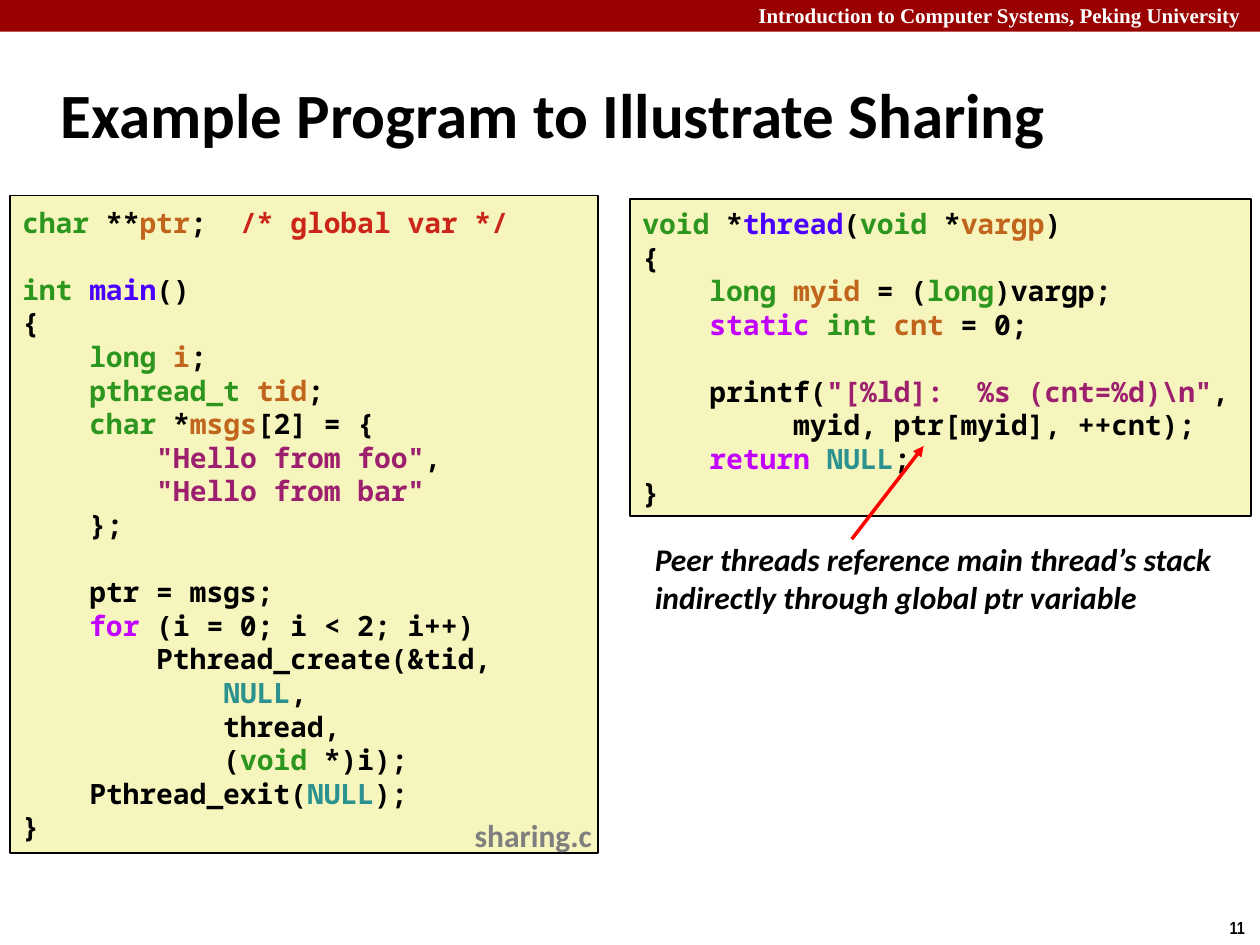
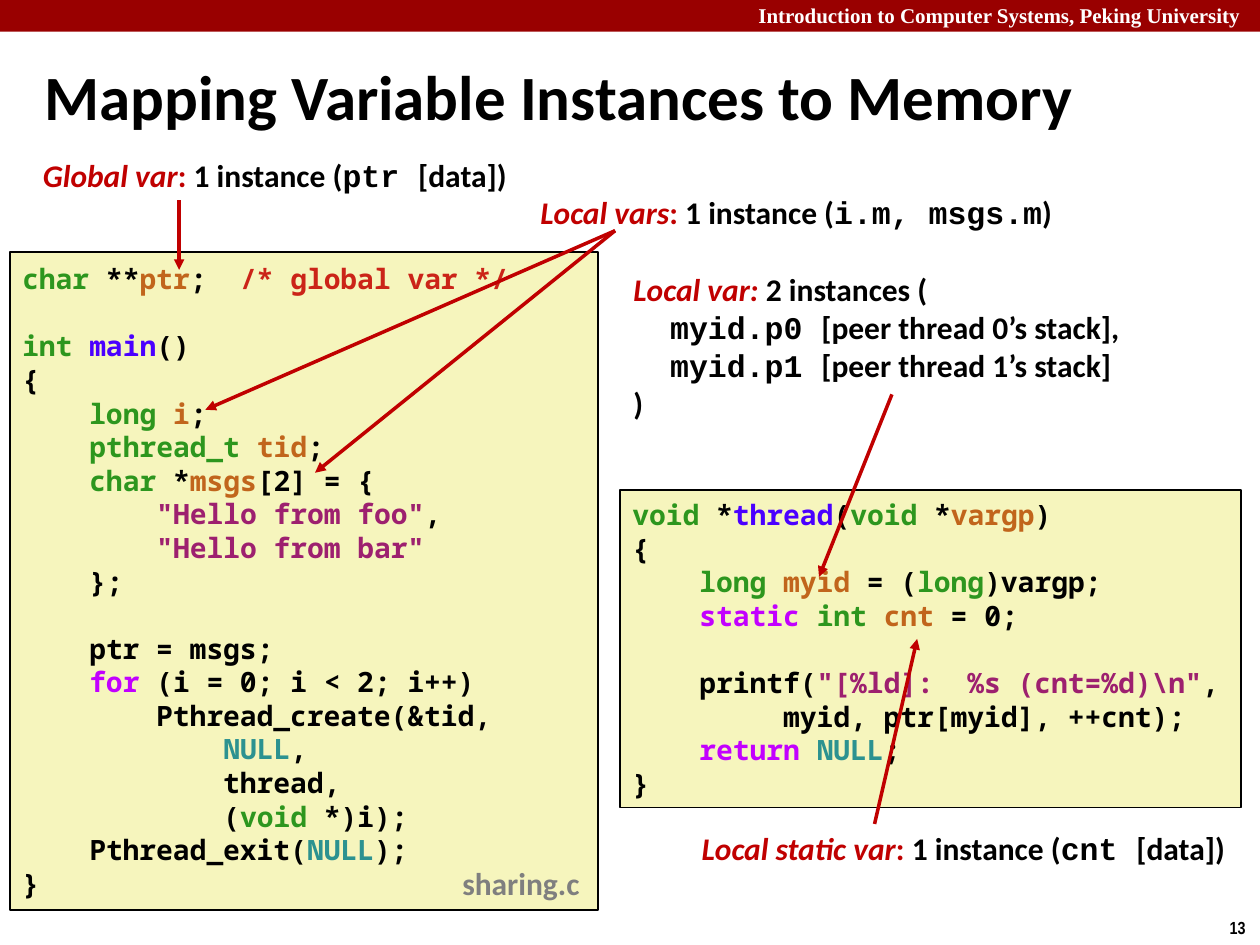
from dataclasses import dataclass

from lxml import etree
from pptx import Presentation
from pptx.dml.color import RGBColor
from pptx.enum.shapes import MSO_CONNECTOR, MSO_SHAPE
from pptx.enum.text import MSO_ANCHOR, MSO_AUTO_SIZE, PP_ALIGN
from pptx.oxml.ns import qn
from pptx.util import Cm, Pt

RECTANGLE = MSO_SHAPE.RECTANGLE
STRAIGHT = MSO_CONNECTOR.STRAIGHT
LEFT, CENTER = PP_ALIGN.LEFT, PP_ALIGN.CENTER
TOP, MIDDLE = MSO_ANCHOR.TOP, MSO_ANCHOR.MIDDLE
GROW = MSO_AUTO_SIZE.SHAPE_TO_FIT_TEXT


@dataclass(frozen=True)
class Style:
    font: str
    size: float
    color: str = "000000"
    italic: bool = False


class Theme:
    band = "990000"
    code_fill = "F6F5BD"
    outline = "000000"
    pointer = "FF0000"
    label = "C00000"
    header = Style("Times New Roman", 12, "FFFFFF")
    number = Style("Arial Narrow", 10)
    title = Style("Calibri", 36)
    code = Style("Noto Sans Mono", 16)
    callout = Style("Calibri", 18)
    note = Style("Calibri", 18, italic=True)
    file_name = Style("Calibri", 18, "7F7F7F")
    # What each kind of marked text changes: §kind:text§
    marks = {
        "type": {"color": "2D961E"},
        "var": {"color": "C1651C"},
        "func": {"color": "4A00FF"},
        "key": {"color": "C200FF"},
        "str": {"color": "9D206F"},
        "const": {"color": "2C9290"},
        "comment": {"color": "CB2418"},
        "term": {"color": label, "italic": True},
        "colon": {"color": label},
        "mono": {"font": "Courier New"},
    }


# Content; all places are in centimetres
HEADER = "Introduction to Computer Systems, Peking University"
FILE_NAME = "sharing.c"

MAIN_CODE = r"""§type:char§ **§var:ptr§;  §comment:/* global var */§

§type:int §§func:main§()
{
    §type:long §§var:i§;
    §type:pthread_t §§var:tid§;
    §type:char§ *§var:msgs§[2] = {
        §str:"Hello from foo"§,
        §str:"Hello from bar"§
    };

    ptr = msgs;
    §key:for§ (i = 0; i < 2; i++)
        Pthread_create(&tid,
            §const:NULL§,
            thread,
            (§type:void§ *)i);
    Pthread_exit(§const:NULL§);
}""".splitlines()

THREAD_CODE = r"""§type:void§ *§func:thread§(§type:void§ *§var:vargp§)
{
    §type:long §§var:myid§ = (§type:long§)vargp;
    §key:static §§type:int §§var:cnt§ = 0;

    printf(§str:"[%ld]:  %s (cnt=%d)\n"§,
         myid, ptr[myid], ++cnt);
    §key:return §§const:NULL§;
}""".splitlines()

PEER_NOTE = ["Peer threads reference main thread’s stack",
             "indirectly through global ptr variable"]
GLOBAL_VAR = ["§term:Global var§§colon:: §1 instance (§mono:ptr §[data])"]
STATIC_VAR = ["§term:Local static var§§colon:: §1 instance (§mono:cnt §[data])"]
LOCAL_VARS = ["§term:Local vars§§colon:: §1 instance (§mono:i.m, msgs.m§)"]
MYID_VAR = ["§term:Local var: §2 instances (",
            "§mono:myid.p0 §[peer thread 0’s stack],",
            "§mono:myid.p1 §[peer thread 1’s stack]",
            ")"]
MYID_INDENTS = [0, 0.74, 0.74, 0]

LOCAL_VARS_TIP = (12.4, 4.65)

SLIDES = [
    {
        "number": "11",
        "title": "Example Program to Illustrate Sharing",
        "title_at": (0.97, 1.22, 23.62, 2.11),
        "main_at": (0.2, 3.94),
        "thread_at": (12.7, 4.01),
        "file_at": (9.32, 16.33),
        "callouts": [
            (PEER_NOTE, Theme.note, LEFT, (12.95, 10.87, 12.01, 1.55), None),
        ],
        "arrow_color": Theme.pointer,
        "arrows": [((17.17, 10.87), (18.62, 8.99))],
    },
    {
        "number": "13",
        "title": "Mapping Variable Instances to Memory",
        "title_at": (0.64, 0.84, 24.7, 2.16),
        "main_at": (0.2, 5.08),
        "thread_at": (12.5, 9.88),
        "file_at": (9.07, 17.3),
        "callouts": [
            (GLOBAL_VAR, Theme.callout, CENTER, (0.56, 3.15, 9.96, 0.76), None),
            (STATIC_VAR, Theme.callout, CENTER, (13.82, 16.71, 11.2, 0.76), None),
            (LOCAL_VARS, Theme.callout, CENTER, (10.59, 3.89, 10.92, 0.76), None),
            (MYID_VAR, Theme.callout, LEFT, (12.52, 5.44, 10.74, 3.07), MYID_INDENTS),
        ],
        "arrow_color": Theme.label,
        "arrows": [
            ((3.61, 4.04), (3.61, 5.44)),
            ((17.63, 16.61), (18.49, 12.88)),
            (LOCAL_VARS_TIP, (4.14, 8.26)),
            (LOCAL_VARS_TIP, (6.35, 9.53)),
            ((17.98, 7.95), (16.51, 11.63)),
        ],
    },
]


def rgb(color):
    return RGBColor.from_string(color)


def cm(lengths):
    return [Cm(length) for length in lengths]


def marked_parts(line):
    """Yield (text, changes) for the plain and the marked parts of a line."""
    for index, part in enumerate(line.split("§")):
        if index % 2:
            kind, _, text = part.partition(":")
            yield text, Theme.marks[kind]
        elif part:
            yield part, {}


def write(frame, lines, style, align=LEFT, indents=None):
    for index, line in enumerate(lines):
        paragraph = frame.add_paragraph() if index else frame.paragraphs[0]
        paragraph.alignment = align
        if indents:
            paragraph._p.get_or_add_pPr().set("marL", str(Cm(indents[index])))
        paragraph.font.name = style.font
        paragraph.font.size = Pt(style.size)
        paragraph.font.bold = True
        paragraph.font.italic = style.italic
        for text, changes in marked_parts(line):
            run = paragraph.add_run()
            run.text = text
            run.font.color.rgb = rgb(changes.get("color", style.color))
            if "font" in changes:
                run.font.name = changes["font"]
            if "italic" in changes:
                run.font.italic = changes["italic"]


def add_rectangle(slide, at, fill):
    rectangle = slide.shapes.add_shape(RECTANGLE, *cm(at))
    rectangle.shadow.inherit = False
    rectangle.fill.solid()
    rectangle.fill.fore_color.rgb = rgb(fill)
    return rectangle


def add_label(slide, lines, style, at, wrap=False):
    frame = slide.shapes.add_textbox(*cm(at)).text_frame
    frame.word_wrap = wrap
    frame.auto_size = GROW
    frame.vertical_anchor = TOP
    write(frame, lines, style)


def add_callout(slide, lines, style, align, at, indents):
    frame = slide.shapes.add_textbox(*cm(at)).text_frame
    frame.word_wrap = False
    frame.auto_size = GROW
    frame.vertical_anchor = MIDDLE
    frame.margin_top = frame.margin_bottom = 0
    write(frame, lines, style, align, indents)


def add_code(slide, lines, at, wrap):
    listing = add_rectangle(slide, at, Theme.code_fill)
    listing.line.color.rgb = rgb(Theme.outline)
    listing.line.width = Pt(1)
    frame = listing.text_frame
    frame.word_wrap = wrap
    frame.auto_size = GROW
    frame.vertical_anchor = MIDDLE
    write(frame, lines, Theme.code)


def add_arrow(slide, start, end, color):
    arrow = slide.shapes.add_connector(STRAIGHT, *cm(start + end))
    arrow.line.color.rgb = rgb(color)
    arrow.line.width = Pt(2)
    properties = arrow._element.spPr
    etree.SubElement(properties.find(qn("a:ln")), qn("a:tailEnd"), type="triangle")
    etree.SubElement(properties, qn("a:effectLst"))


def add_frame(slide, number):
    """Add the band, its heading and the page number."""
    band = add_rectangle(slide, (0, 0, 25.4, 0.64), Theme.band)
    band.line.fill.background()
    add_label(slide, [HEADER], Theme.header, (15.04, -0.08, 10.36, 0.76), wrap=True)
    add_label(slide, [number], Theme.number, (24.54, 18.36, 0.86, 0.69))


def add_title(slide, text, at):
    title = slide.shapes.title
    title.left, title.top, title.width, title.height = cm(at)
    title.text_frame.word_wrap = True
    title.text_frame.vertical_anchor = MIDDLE
    write(title.text_frame, [text], Theme.title)


def build_slide(deck, content):
    slide = deck.slides.add_slide(deck.slide_layouts.get_by_name("Title Only"))
    add_frame(slide, content["number"])
    add_title(slide, content["title"], content["title_at"])
    add_code(slide, MAIN_CODE, content["main_at"] + (11.86, 13.26), wrap=True)
    add_code(slide, THREAD_CODE, content["thread_at"] + (12.52, 6.4), wrap=False)
    for callout in content["callouts"]:
        add_callout(slide, *callout)
    for start, end in content["arrows"]:
        add_arrow(slide, start, end, content["arrow_color"])
    add_label(slide, [FILE_NAME], Theme.file_name, content["file_at"] + (2.9, 1.02))


def main():
    deck = Presentation()
    deck.slide_width, deck.slide_height = Cm(25.4), Cm(19.05)
    for content in SLIDES:
        build_slide(deck, content)
    deck.save("out.pptx")


if __name__ == "__main__":
    main()
